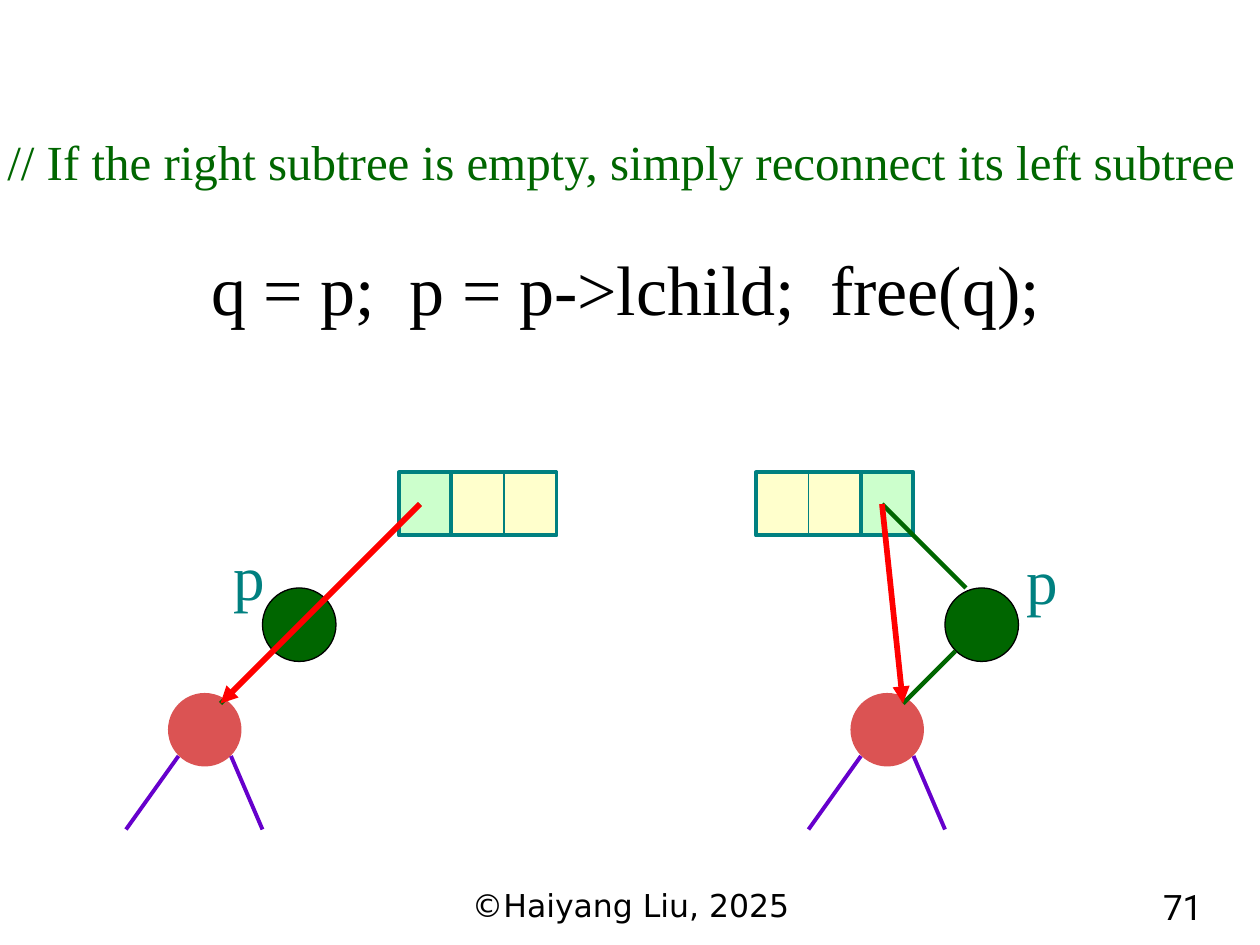
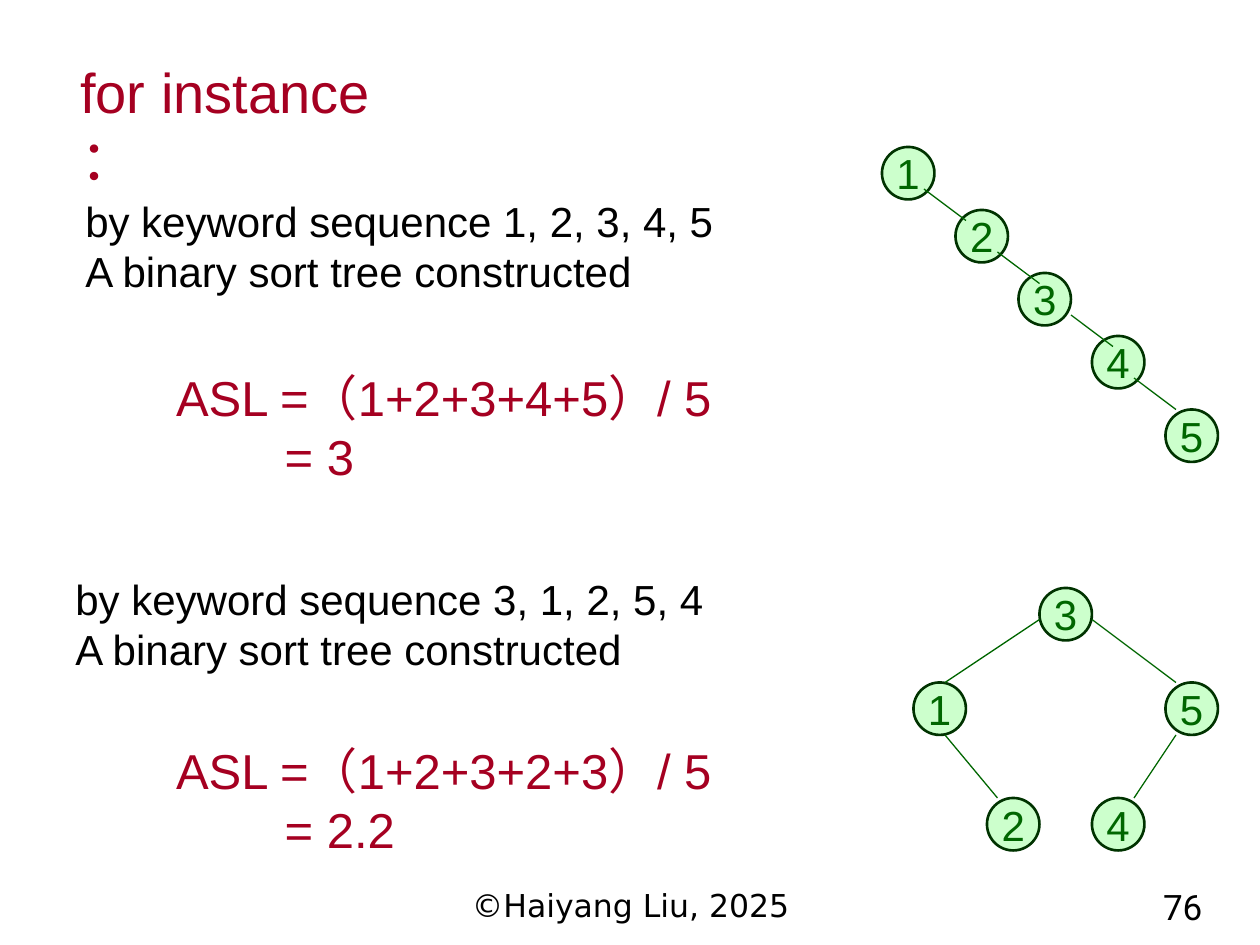
from dataclasses import dataclass

from lxml.etree import SubElement
from pptx import Presentation
from pptx.dml.color import RGBColor
from pptx.enum.shapes import MSO_CONNECTOR as Connector, MSO_SHAPE as Shape
from pptx.enum.text import MSO_ANCHOR as Anchor, PP_ALIGN as Align
from pptx.oxml.ns import qn
from pptx.util import Cm, Pt


@dataclass(frozen=True)
class Theme:
    black: str = "000000"
    green: str = "006600"
    dark_green: str = "003300"
    pale_green: str = "CCFFCC"
    pale_yellow: str = "FFFFCC"
    teal: str = "008080"
    coral: str = "DB5353"
    purple: str = "6600CC"
    red: str = "FF0000"
    crimson: str = "A50021"
    serif: str = "Times New Roman"
    sans: str = "Arial"
    footer_font: str = "DejaVu Sans"
    number_font: str = "Roboto"
    footer_size: int = 18
    number_size: int = 20
    body_size: int = 24
    formula_size: int = 28
    title_size: int = 32
    label_size: int = 36
    code_size: int = 40


theme = Theme()
GRID = Cm(2.54) // 12  # the diagrams sit on a grid of twelve steps to the inch


def add_figure(slide, kind, box, fill, line=None, weight=0.75):
    """Add a filled shape whose box is given in grid steps."""
    figure = slide.shapes.add_shape(kind, *(value * GRID for value in box))
    figure.shadow.inherit = False
    figure.fill.solid()
    figure.fill.fore_color.rgb = RGBColor.from_string(fill)
    if line:
        figure.line.color.rgb = RGBColor.from_string(line)
        figure.line.width = Pt(weight)
    else:
        figure.line.fill.background()
    return figure


def add_line(slide, ends, color, weight, arrow=False):
    """Add a line between two points (x, y, x, y) given in grid steps."""
    line = slide.shapes.add_connector(
        Connector.STRAIGHT, *(value * GRID for value in ends))
    line.line.color.rgb = RGBColor.from_string(color)
    line.line.width = Pt(weight)
    if arrow:
        SubElement(line.line._get_or_add_ln(), qn("a:tailEnd"), type="triangle")
    SubElement(line._element.spPr, qn("a:effectLst"))
    return line


presentation = Presentation()
presentation.slide_width = Cm(25.4)
presentation.slide_height = Cm(19.05)
blank = presentation.slide_layouts[6]
deletion_slide = presentation.slides.add_slide(blank)
search_slide = presentation.slides.add_slide(blank)

# Deletion: the parent's pointer skips p and goes to p's left subtree
for pointer_x, keys_x in ((38, 43), (82, 72)):
    add_figure(deletion_slide, Shape.RECTANGLE, (pointer_x, 45, 5, 6),
               theme.pale_green, theme.teal, 2.25)
    keys = add_figure(deletion_slide, Shape.RECTANGLE, (keys_x, 45, 10, 6),
                      theme.pale_yellow, theme.teal, 2.25)
    divider = add_line(deletion_slide, (keys_x + 5, 45, keys_x + 5, 51), theme.teal, 0.75)
    divider.begin_connect(keys, 0)
    divider.end_connect(keys, 2)

for tree_x, old_link, new_link in (
    (0, (40, 48, 31, 57), (40, 48, 21, 67)),
    (65, (84, 48, 92, 56), (84, 48, 86, 67)),
):
    add_figure(deletion_slide, Shape.OVAL, (tree_x + 25, 56, 7, 7), theme.green, theme.black)
    add_figure(deletion_slide, Shape.OVAL, (tree_x + 16, 66, 7, 7), theme.coral)
    for start_x, end_x in ((17, 12), (22, 25)):
        add_line(deletion_slide, (tree_x + start_x, 72, tree_x + end_x, 79),
                 theme.purple, 2.25)
    add_line(deletion_slide, (tree_x + 26, 62, tree_x + 21, 67), theme.green, 2.5)
    add_line(deletion_slide, old_link, theme.green, 2.5)
    add_line(deletion_slide, new_link, theme.red, 3.25, arrow=True)

# Search trees: a chain and a balanced tree with the same keys
chain = [(1, 84, 14), (2, 91, 20), (3, 97, 26), (4, 104, 32), (5, 111, 39)]
balanced = [(3, 99, 56), (1, 87, 65), (5, 111, 65), (2, 94, 76), (4, 104, 76)]
for key, x, y in chain + balanced:
    node = add_figure(search_slide, Shape.OVAL, (x, y, 5, 5),
                      theme.pale_green, theme.dark_green, 1.5)
    node.text_frame.word_wrap = False
    node.text_frame.vertical_anchor = Anchor.MIDDLE
    paragraph = node.text_frame.paragraphs[0]
    paragraph.text = str(key)
    paragraph.alignment = Align.CENTER
    paragraph.font.name = theme.sans
    paragraph.font.size = Pt(theme.body_size)
    paragraph.font.color.rgb = RGBColor.from_string(theme.green)

chain_links = [(x, y, x + 4, y + 3) for x, y in ((88, 18), (95, 24), (102, 30), (108, 36))]
balanced_links = [(99, 59, 90, 65), (104, 59, 112, 65), (90, 70, 95, 76), (112, 70, 108, 76)]
for link in chain_links + balanced_links:
    add_line(search_slide, link, theme.green, 0.75)

# Text: slide, box in cm, lines, font, size, colour, wrap, alignment
comment = "// If the right subtree is empty, simply reconnect its left subtree"
texts = [
    (deletion_slide, (-0.1, 1.93, 25.32, 2.06), [comment],
     theme.serif, theme.formula_size, theme.green, False, Align.LEFT),
    (deletion_slide, (4.01, 4.83, 17.25, 1.96), ["q = p;  p = p->lchild;  free(q);"],
     theme.serif, theme.code_size, theme.black, False, Align.LEFT),
    (search_slide, (1.37, 1.04, 7.2, 1.63), ["for instance ："],
     theme.sans, theme.title_size, theme.crimson, True, Align.LEFT),
]
for left, top in ((4.45, 10.72), (20.45, 10.8)):
    texts.append((deletion_slide, (left, top, 1.14, 1.78), ["p"],
                  theme.serif, theme.label_size, theme.teal, False, Align.LEFT))
for left, top, sequence, formula_top, levels, result in (
    (1.47, 3.81, "1, 2, 3, 4, 5", 7.29, "1+2+3+4+5", "3"),
    (1.27, 11.43, "3, 1, 2, 5, 4", 14.81, "1+2+3+2+3", "2.2"),
):
    texts.append((search_slide, (left, top, 15.4, 2.31),
                  [f"by keyword sequence {sequence}", "A binary sort tree constructed"],
                  theme.sans, theme.body_size, theme.black, True, Align.LEFT))
    texts.append((search_slide, (3.3, formula_top, 11.3, 2.64),
                  [f"ASL =（{levels}）/ 5", f"= {result}"],
                  theme.sans, theme.formula_size, theme.crimson, True, Align.LEFT))
for slide, number in ((deletion_slide, "71"), (search_slide, "76")):
    texts.append((slide, (8.69, 17.73, 8.05, 0.99), ["©Haiyang Liu, 2025"],
                  theme.footer_font, theme.footer_size, theme.black, True, Align.CENTER))
    texts.append((slide, (20.6, 17.73, 3.89, 0.99), [number],
                  theme.number_font, theme.number_size, theme.black, True, Align.RIGHT))

for slide, box, lines, font, size, color, wrap, alignment in texts:
    frame = slide.shapes.add_textbox(*(Cm(value) for value in box)).text_frame
    frame.word_wrap = wrap
    for index, line in enumerate(lines):
        paragraph = frame.add_paragraph() if index else frame.paragraphs[0]
        paragraph.text = line
        paragraph.alignment = alignment
        paragraph.font.name = font
        paragraph.font.size = Pt(size)
        paragraph.font.color.rgb = RGBColor.from_string(color)
        if line == comment:
            paragraph.line_spacing = 1.5
        if line.startswith("="):
            paragraph._p.get_or_add_pPr().set("marL", str(Cm(2.19)))

presentation.save("out.pptx")
